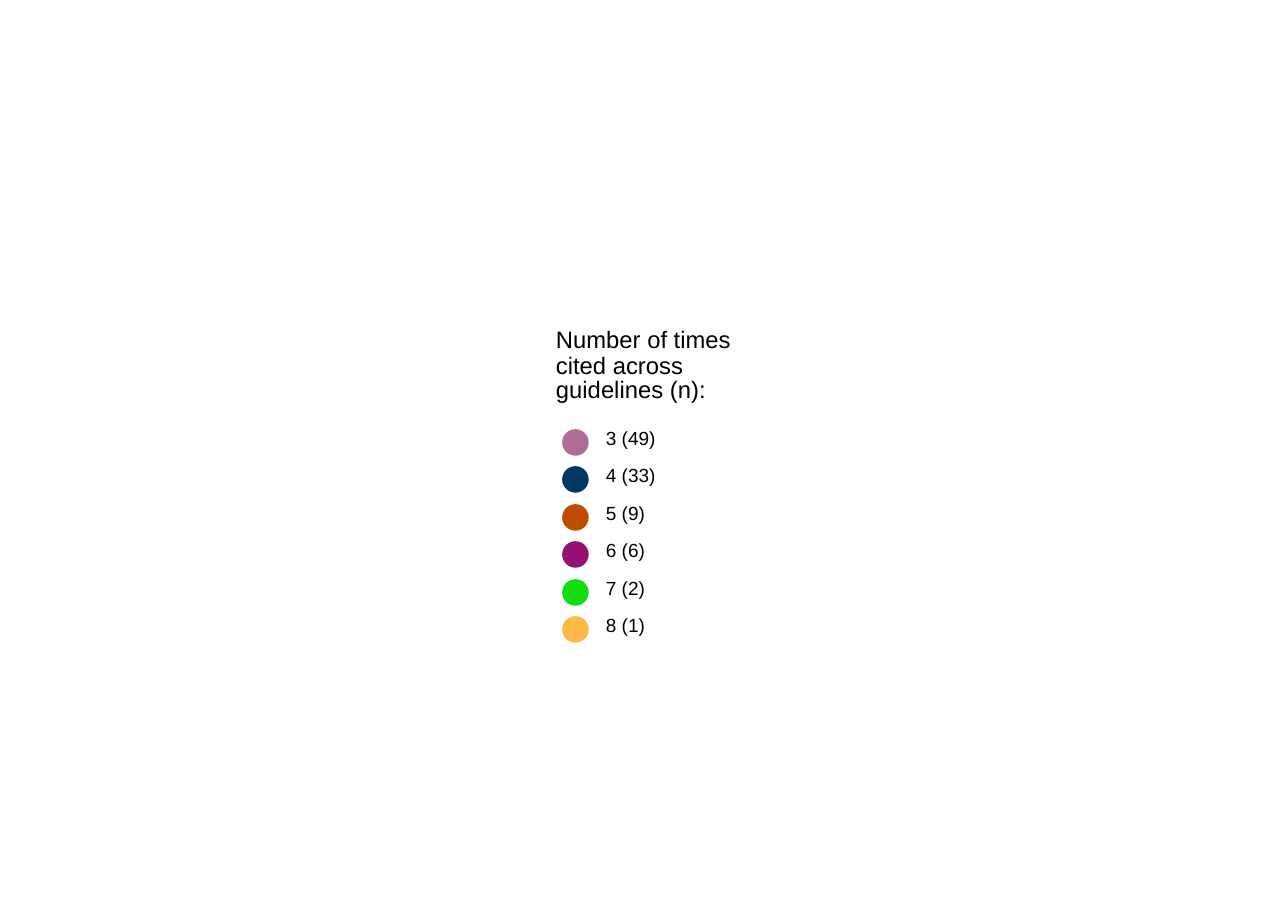
from pptx import Presentation
from pptx.dml.color import RGBColor
from pptx.enum.shapes import MSO_SHAPE
from pptx.enum.text import MSO_ANCHOR
from pptx.util import Emu, Pt

EMU_PER_PIXEL = 914400 / 155.7
BLACK = RGBColor(0x00, 0x00, 0x00)
MAUVE = RGBColor(0xB0, 0x6C, 0x96)
NAVY = RGBColor(0x00, 0x38, 0x65)
RUST = RGBColor(0xBE, 0x4D, 0x00)
PURPLE = RGBColor(0x95, 0x12, 0x72)
GREEN = RGBColor(0x11, 0xDD, 0x11)
AMBER = RGBColor(0xFF, 0xB9, 0x48)

# Heading lines: text, top offset, width, height
HEADING = [
    ("Number of times", 0, 180, 17),
    ("cited across", 26, 134, 17),
    ("guidelines (n):", 47, 155, 22),
]
# Legend entries: label, label width, colour
ENTRIES = [
    ("3 (49)", 54, MAUVE),
    ("4 (33)", 54, NAVY),
    ("5 (9)", 43, RUST),
    ("6 (6)", 43, PURPLE),
    ("7 (2)", 43, GREEN),
    ("8 (1)", 43, AMBER),
]


def px(pixels):
    return Emu(round(pixels * EMU_PER_PIXEL))


def add_line_of_text(shapes, text, left, top, width, height, size):
    box = shapes.add_textbox(px(left), px(top), px(width), px(height))
    frame = box.text_frame
    frame.margin_left = frame.margin_right = 0
    frame.margin_top = frame.margin_bottom = 0
    frame.word_wrap = False
    frame.vertical_anchor = MSO_ANCHOR.MIDDLE
    paragraph = frame.paragraphs[0]
    paragraph.text = text
    paragraph.line_spacing = Pt(size)
    paragraph.font.name = "Arial"
    paragraph.font.size = Pt(size)
    paragraph.font.color.rgb = BLACK


def add_dot(shapes, left, top, diameter, colour):
    dot = shapes.add_shape(
        MSO_SHAPE.OVAL, px(left), px(top), px(diameter), px(diameter))
    dot.shadow.inherit = False
    dot.fill.solid()
    dot.fill.fore_color.rgb = colour
    dot.line.color.rgb = colour
    dot.line.width = Pt(0.71)


def add_heading(shapes, left, top):
    for text, offset, width, height in HEADING:
        add_line_of_text(shapes, text, left, top + offset, width, height, 11)


def add_entries(shapes, left, top, height):
    dot_size = 25
    travel = height - dot_size
    for index, (label, width, colour) in enumerate(ENTRIES):
        row_top = top + round(travel * index / (len(ENTRIES) - 1))
        add_dot(shapes, left, row_top, dot_size, colour)
        add_line_of_text(shapes, label, left + 43, row_top + 1, width, 17, 8.8)


def add_legend(slide, left, top):
    legend = slide.shapes.add_group_shape()
    add_heading(legend.shapes, left, top)
    add_entries(legend.shapes, left + 7, top + 97, 212)


presentation = Presentation()
presentation.slide_width = px(1288)
presentation.slide_height = px(908)
slide = presentation.slides.add_slide(presentation.slide_layouts[6])
add_legend(slide, 556, 333)
presentation.save("out.pptx")
